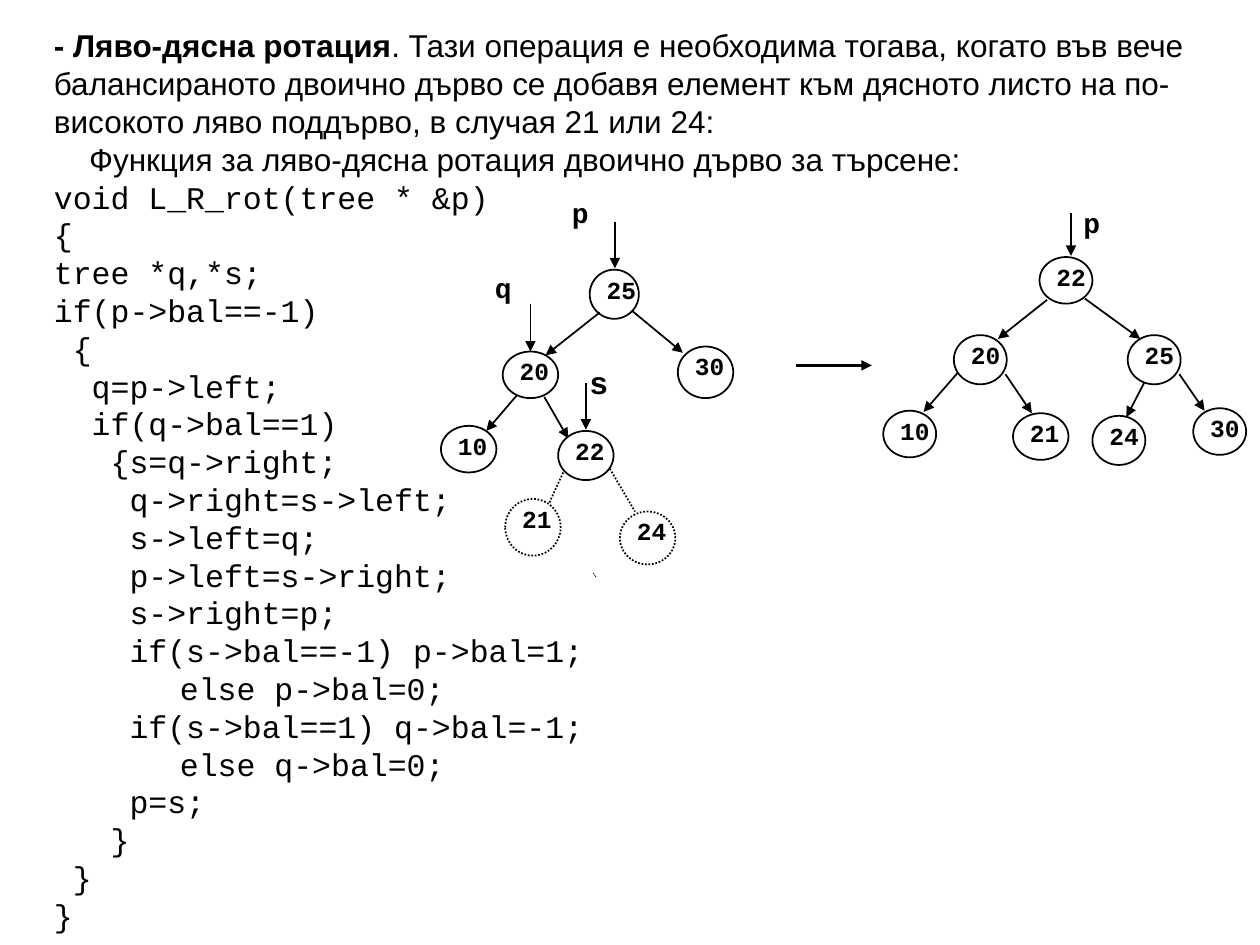
import pptx
import pptx.util
import pptx.dml.color
import pptx.enum.dml
import pptx.enum.shapes
import pptx.enum.text
import pptx.oxml.ns
from lxml import etree

Pt = pptx.util.Pt
INK = {"black": "000000"}
FONT = {"prose": "Arial", "code": "Courier New"}
WIDE, HIGH = pptx.util.Inches(10), pptx.util.Inches(7.5)
COLS, ROWS = 1000, 750          # fine grid over the slide
SPACE = 15                      # columns per code character at 18 pt
NUMBER = (-8, -1, 60, 40)       # number box, measured from its node
DOT = pptx.enum.dml.MSO_LINE.ROUND_DOT

TITLE = "- Ляво-дясна ротация"
INTRO = (". Тази операция е необходима тогава, когато във вече балансираното "
         "двоично дърво се добавя елемент към дясното листо на по-високото "
         "ляво поддърво, в случая 21 или 24:")
LEAD = "Функция за ляво-дясна ротация двоично дърво за търсене:"
ELSE = 100 / SPACE              # indent of the else lines, in characters
CODE = [
    (0, "void L_R_rot(tree * &p)"), (0, "{"), (0, "tree *q,*s;"),
    (0, "if(p->bal==-1)"), (1, "{"), (2, "q=p->left;"),
    (2, "if(q->bal==1)"), (3, "{s=q->right;"), (4, "q->right=s->left;"),
    (4, "s->left=q;"), (4, "p->left=s->right;"), (4, "s->right=p;"),
    (4, "if(s->bal==-1) p->bal=1;"), (ELSE, "else p->bal=0;"),
    (4, "if(s->bal==1) q->bal=-1;"), (ELSE, "else q->bal=0;"),
    (4, "p=s;"), (3, "}"), (1, "}"), (0, "}"),
]

# nodes: number, column, row, width, height
# lines: from column, row, to column, row
# labels: text, column, row, width, height, size
BEFORE = {
    "nodes": [("25", 118, 64, 39, 39), ("20", 49, 129, 44, 37),
              ("30", 188, 125, 44, 41), ("10", 0, 188, 44, 37),
              ("22", 93, 192, 44, 39)],
    "new": [("21", 51, 246, 44, 45), ("24", 142, 256, 44, 42)],
    "arrows": [(126, 98, 83, 132), (152, 97, 192, 130), (60, 164, 36, 192),
               (82, 165, 101, 198), (138, 26, 138, 63), (71, 91, 71, 129),
               (115, 154, 115, 191)],
    "dotted": [(97, 225, 86, 249, 1), (134, 222, 154, 256, 1),
               (123, 308, 121, 305, 0.5)],
    "labels": [("p", 94, 0, 60, 40, 16), ("q", 33, 60, 60, 40, 16),
               ("s", 108, 133, 60, 40, 18)],
}
AFTER = {
    "nodes": [("22", 125, 46, 42, 37), ("20", 57, 108, 42, 39),
              ("25", 195, 108, 42, 39), ("10", 1, 168, 42, 37),
              ("21", 104, 170, 44, 37), ("24", 167, 172, 42, 39),
              ("30", 247, 166, 42, 37)],
    "new": [],
    "arrows": [(131, 80, 92, 111), (161, 79, 205, 111), (60, 138, 33, 169),
               (236, 139, 256, 168), (208, 146, 194, 173),
               (98, 139, 119, 170), (150, 11, 150, 45, 0.75)],
    "dotted": [],
    "labels": [("p", 150, 0, 42, 37, 16)],
}


def col(n):
    return round(WIDE * n / COLS)


def row(n):
    return round(HIGH * n / ROWS)


def shade(name):
    return pptx.dml.color.RGBColor.from_string(INK[name])


def write(para, text, face, size, bold=False):
    run = para.add_run()
    run.text = text
    font = run.font
    font.name, font.size, font.bold = FONT[face], Pt(size), bold
    font.color.rgb = shade("black")


def frame(slide, x, y, w, h):
    box = slide.shapes.add_textbox(col(x), row(y), col(w), row(h))
    box.text_frame.word_wrap = True
    return box.text_frame


def label(slide, x, y, w, h, text, size):
    write(frame(slide, x, y, w, h).paragraphs[0], text, "code", size, True)


def stroke(line, width, dotted):
    line.color.rgb = shade("black")
    line.width = Pt(width)
    if dotted:
        line.dash_style = DOT


def link(slide, x1, y1, x2, y2, width=1, dotted=False):
    """Draw an arrow, or a headless dotted line."""
    line = slide.shapes.add_connector(
        pptx.enum.shapes.MSO_CONNECTOR.STRAIGHT,
        col(x1), row(y1), col(x2), row(y2))
    stroke(line.line, width, dotted)
    qn = pptx.oxml.ns.qn
    if not dotted:
        etree.SubElement(line.line._get_or_add_ln(), qn("a:tailEnd"),
                         type="triangle")
    etree.SubElement(line._element.spPr, qn("a:effectLst"))


def node(slide, x, y, w, h, text, dotted):
    ring = slide.shapes.add_shape(pptx.enum.shapes.MSO_SHAPE.OVAL,
                                  col(x), row(y), col(w), row(h))
    ring.shadow.inherit = False
    ring.fill.background()
    stroke(ring.line, 1, dotted)
    dx, dy, wide, high = NUMBER
    label(slide, x + dx, y + dy, wide, high, " " + text, 14)


def tree(slide, left, top, parts):
    for kind in ("nodes", "new"):
        for text, x, y, w, h in parts[kind]:
            node(slide, left + x, top + y, w, h, text, kind == "new")
    for kind in ("arrows", "dotted"):
        for x1, y1, x2, y2, *width in parts[kind]:
            link(slide, left + x1, top + y1, left + x2, top + y2, *width,
                 dotted=kind == "dotted")
    for text, x, y, w, h, size in parts["labels"]:
        label(slide, left + x, top + y, w, h, text, size)


def listing(slide, x, y, w, h):
    """Set the introduction and the code below it."""
    body = frame(slide, x, y, w, h)
    body.vertical_anchor = pptx.enum.text.MSO_ANCHOR.MIDDLE
    body.margin_bottom = row(35)
    first = body.paragraphs[0]
    write(first, TITLE, "prose", 18, True)
    write(first, INTRO, "prose", 18)
    first.line_spacing = Pt(21.6)
    lines = [(28 / SPACE, LEAD, "prose")]
    lines += [(depth, text, "code") for depth, text in CODE]
    for depth, text, face in lines:
        para = body.add_paragraph()
        para.line_spacing = Pt(21.6)
        para._p.get_or_add_pPr().set("marL", str(col(depth * SPACE)))
        write(para, text, face, 18)


def main():
    deck = pptx.Presentation()
    deck.slide_width, deck.slide_height = WIDE, HIGH
    slide = deck.slides.add_slide(deck.slide_layouts[6])
    listing(slide, 33, 67, 933, 658)
    tree(slide, 350, 150, BEFORE)
    link(slide, 632, 290, 692, 290, 2)
    tree(slide, 700, 158, AFTER)
    deck.save("out.pptx")


if __name__ == "__main__":
    main()
